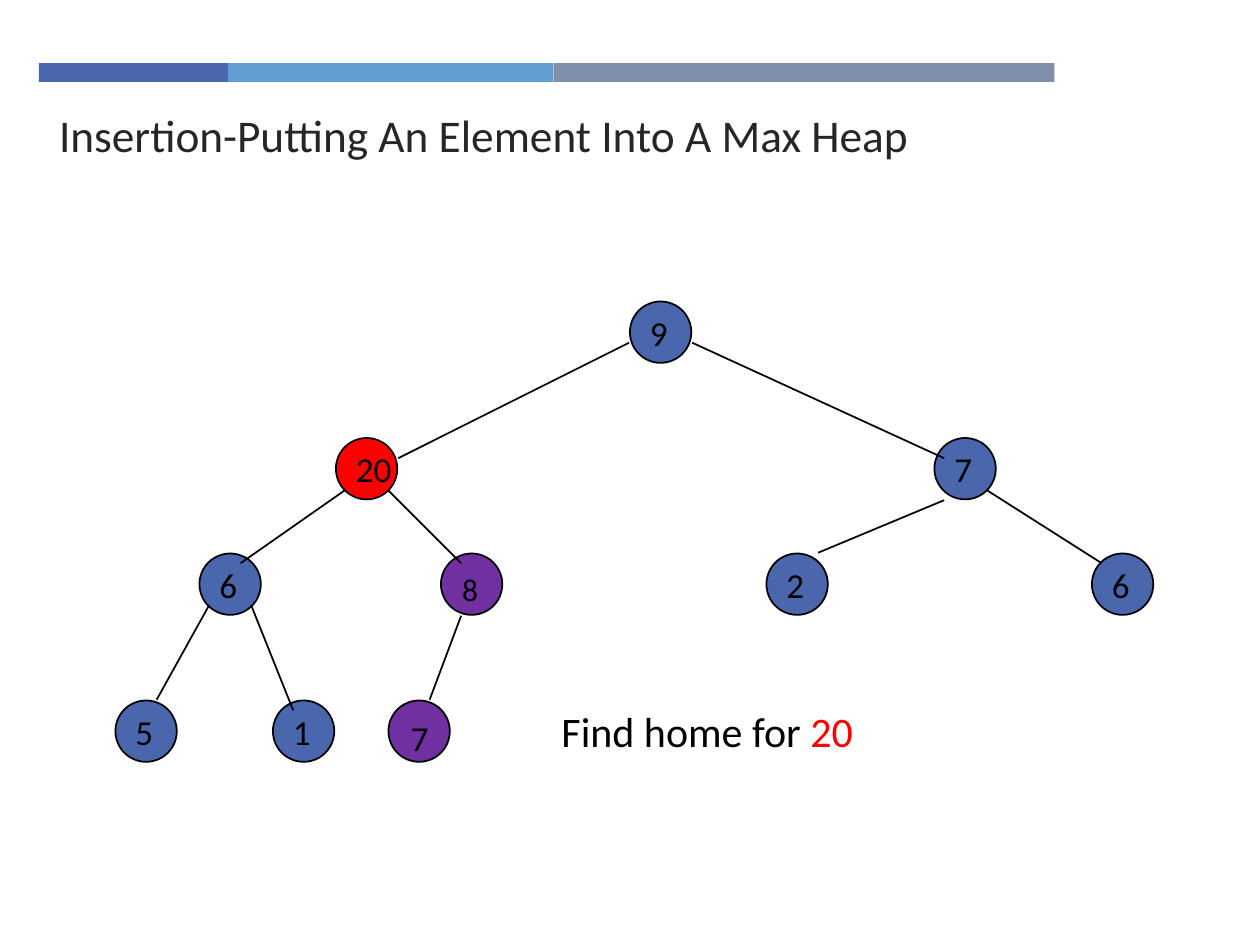
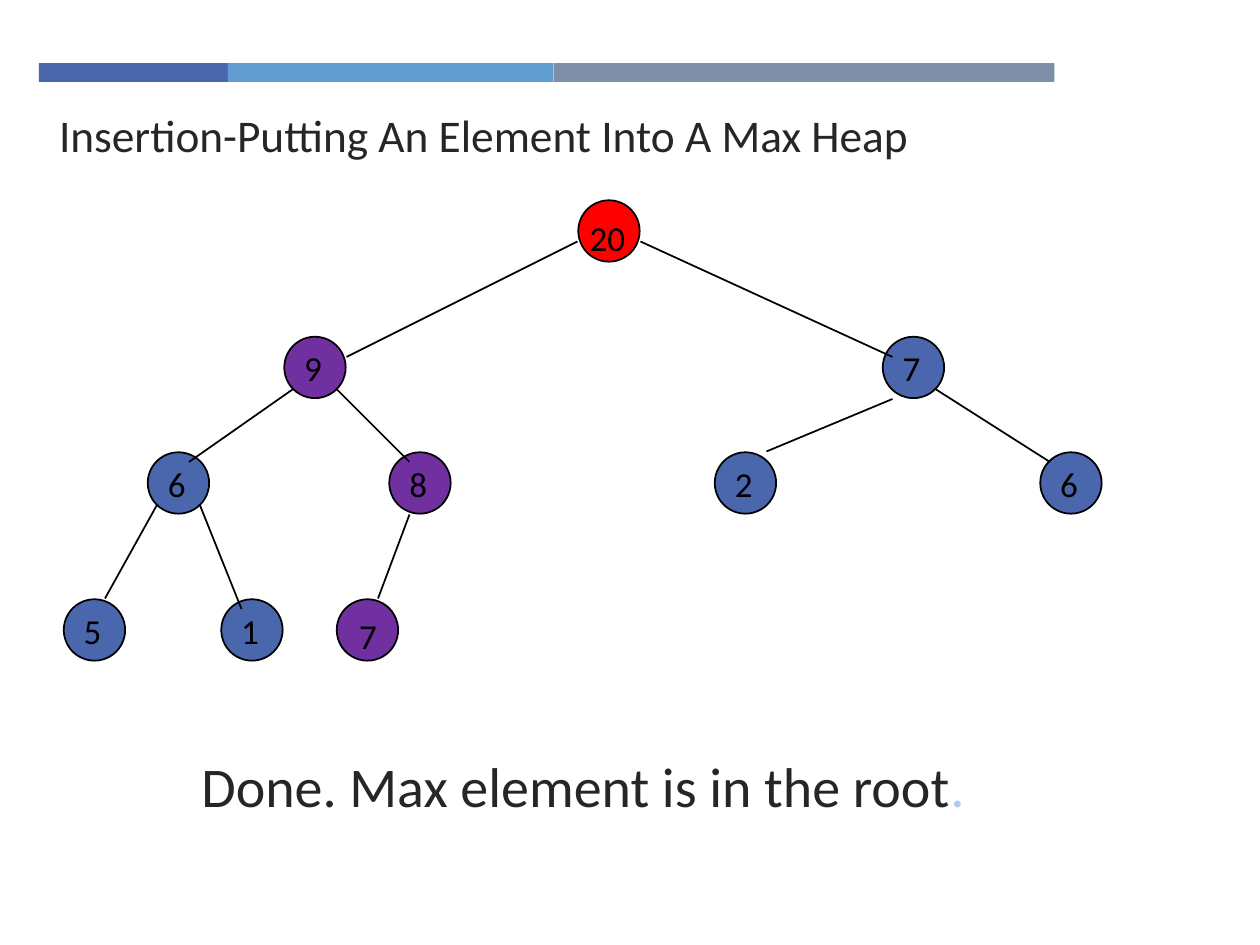
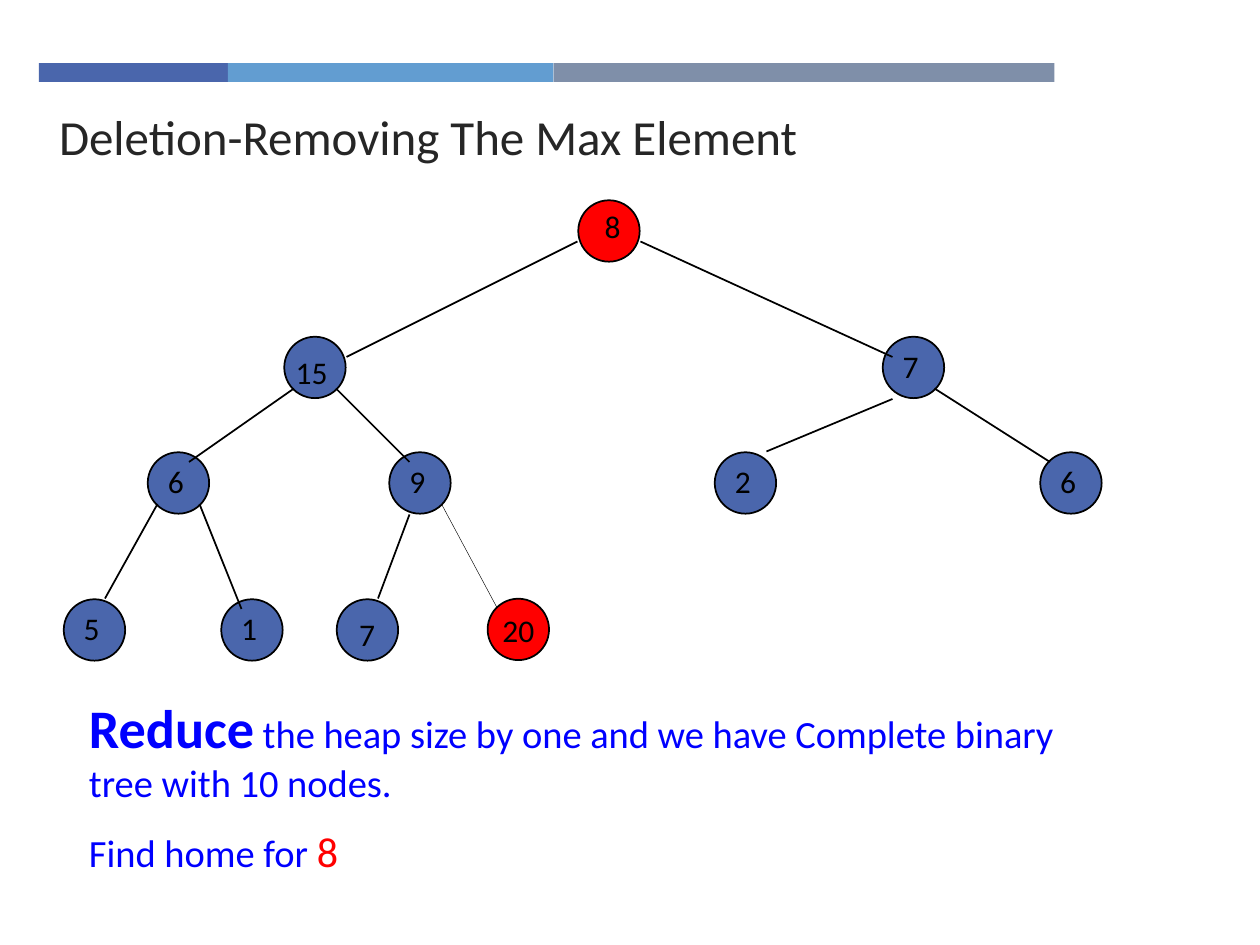
from itertools import accumulate

from lxml.etree import SubElement
from pptx import Presentation
from pptx.dml.color import RGBColor
from pptx.enum.shapes import MSO_CONNECTOR, MSO_SHAPE
from pptx.enum.text import MSO_ANCHOR, PP_ALIGN
from pptx.oxml.ns import qn
from pptx.util import Inches, Pt

HUES = {
    "blue": "4A66AC", "sky": "629DD1", "slate": "7F8FA9", "pale": "ACCBF9",
    "red": "FF0000", "purple": "7030A0", "ink": "262626", "black": "000000",
    "link": "0000FF",
}
COLS, ROWS = 120, 90
SIZE = 5.85
BANDS = [("blue", 18), ("sky", 31), ("slate", 47.7)]
NODES = [(55, 19), (27, 32), (84, 32), (14, 43), (37, 43),
         (68, 43), (99, 43), (6, 57), (21, 57), (32, 57)]
EDGES = [(55, 23, 33, 34), (61, 23, 85, 34), (28, 37, 18, 44),
         (32, 37, 39, 44), (85, 38, 73, 43), (89, 37, 100, 44),
         (15, 48, 10, 57), (19, 48, 23, 58), (39, 49, 36, 57)]
NUDGE = (0.72, 0.34)
LOW = (0.96, 0.88)
WIDE = (-0.1, 0.96)


class Deck:
    """Holds the style and the current slide, measured on a 120 by 90 grid."""

    def __init__(self):
        """Start an empty deck."""
        self.prs = Presentation()
        self.prs.slide_width, self.prs.slide_height = Inches(10), Inches(7.5)
        self.slide = None

    def grid(self, x, y):
        """Turn columns and rows into lengths."""
        return (round(self.prs.slide_width * x / COLS),
                round(self.prs.slide_height * y / ROWS))

    def tint(self, hue):
        """Give the colour with this name."""
        return RGBColor.from_string(HUES[hue])

    def page(self, title, size):
        """Add a slide with its bands and title."""
        self.slide = self.prs.slides.add_slide(self.prs.slide_layouts[6])
        ends = accumulate((wide for _, wide in BANDS), initial=3.72)
        for (hue, wide), left in zip(BANDS, ends):
            self.shape(MSO_SHAPE.RECTANGLE, left, 6, wide, 1.8, hue)
        self.text(4.44, 9.6, 86, 6.5, [(title, {})], size, "ink")

    def shape(self, kind, x, y, w, h, hue):
        """Add a flat filled shape."""
        form = self.slide.shapes.add_shape(
            kind, *self.grid(x, y), *self.grid(w, h))
        form.shadow.inherit = False
        form.fill.solid()
        form.fill.fore_color.rgb = self.tint(hue)
        form.line.fill.background()
        return form

    def node(self, x, y, hue):
        """Add an outlined circle in the middle of its six-cell square."""
        gap = (6 - SIZE) / 2
        form = self.shape(MSO_SHAPE.OVAL, x + gap, y + gap, SIZE, SIZE, hue)
        form.line.color.rgb = self.tint("black")
        form.line.width = Pt(1)
        return form

    def edge(self, x, y, to_x, to_y, width=1):
        """Add a black line between two grid points."""
        line = self.slide.shapes.add_connector(
            MSO_CONNECTOR.STRAIGHT, *self.grid(x, y), *self.grid(to_x, to_y))
        line.line.color.rgb = self.tint("black")
        line.line.width = Pt(width)
        SubElement(line._element.spPr, qn("a:effectLst"))

    def font(self, font, size, hue):
        """Set face, size and colour."""
        font.name = "Calibri"
        font.size = Pt(size)
        font.color.rgb = self.tint(hue)

    def text(self, x, y, w, h, runs, size, hue="black", wrap=True):
        """Add a text box; a run may change size, hue or weight."""
        box = self.slide.shapes.add_textbox(*self.grid(x, y), *self.grid(w, h))
        box.text_frame.word_wrap = wrap
        para = box.text_frame.paragraphs[0]
        self.font(para.font, size, hue)
        for words, own in runs:
            run = para.add_run()
            run.text = words
            if own:
                self.font(run.font, own.get("size", size), own.get("hue", hue))
                run.font.bold = own.get("bold")

    def tree(self, keys, hues, size, moves, dx=0, dy=0):
        """Draw the heap; moves holds label offsets and sizes by index."""
        spots = [(x + dx, y + dy) for x, y in NODES]
        for i, (x, y) in enumerate(spots):
            self.node(x, y, hues.get(i, "blue"))
        for x, y, to_x, to_y in EDGES:
            self.edge(x + dx, y + dy, to_x + dx, to_y + dy)
        for i, ((x, y), key) in enumerate(zip(spots, keys)):
            (right, down), own = moves.get(i, (NUDGE, size))
            wide = 2.4 + 1.7 * len(key)
            self.text(x + 0.08 + right, y + 0.08 + down, wide, 5.2,
                      [(key, {})], own, wrap=False)

    def last(self, x, y, key, hue, size):
        """Add the removed leaf with its key centred inside."""
        frame = self.node(x, y, hue).text_frame
        frame.word_wrap = False
        frame.vertical_anchor = MSO_ANCHOR.MIDDLE
        para = frame.paragraphs[0]
        para.alignment = PP_ALIGN.CENTER
        self.font(para.font, size, "black")
        para.add_run().text = key


def main():
    """Build the three heap slides."""
    deck = Deck()
    put = "Insertion-Putting An Element Into A Max Heap"

    deck.page(put, 25.9)
    deck.tree("9 20 7 6 8 2 6 5 1 7".split(),
              {1: "red", 4: "purple", 9: "purple"}, 20,
              {4: ((0.84, 0.96), 18), 9: (LOW, 20)}, 4.92, 9.64)
    deck.text(52.3, 66.6, 39.6, 6,
              [("Find home for ", {}), ("20", {"hue": "red"})], 24)

    deck.page(put, 25.9)
    deck.tree("20 9 7 6 8 2 6 5 1 7".split(),
              {0: "red", 1: "purple", 4: "purple", 9: "purple"}, 20,
              {0: (WIDE, 20), 9: (LOW, 20)})
    deck.text(18, 71, 84, 8.3,
              [("Done. Max element is in the root", {}),
               (".", {"hue": "pale"})], 32, "ink")

    deck.page("Deletion-Removing The Max Element", 28)
    deck.tree("8 15 7 6 9 2 6 5 1 7".split(), {0: "red"}, 18,
              {0: ((1.32, 0), 18), 1: (WIDE, 18), 9: (LOW, 18)})
    deck.last(46.37, 56.95, "20", "red", 18)
    deck.edge(42.1, 48.1, 47.3, 57.8, 0.25)
    deck.text(7.3, 65.5, 98.2, 11,
              [("Reduce", {"size": 31, "bold": True}),
               (" the heap size by one and we have Complete binary tree"
                " with 10 nodes.", {})], 22, "link")
    deck.text(7.3, 78, 84, 8.4,
              [("Find home for ", {}), ("8", {"size": 24, "hue": "red"})],
              22, "link")

    deck.prs.save("out.pptx")


if __name__ == "__main__":
    main()
